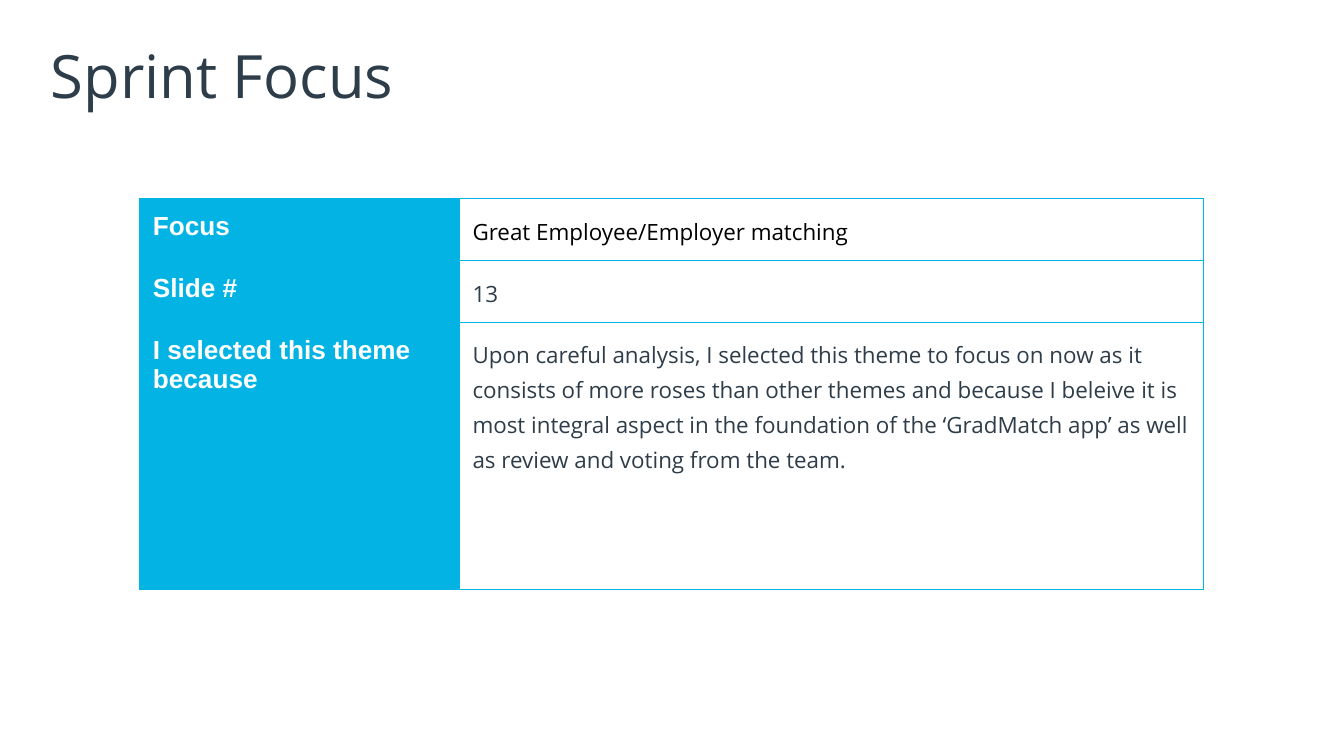
import dataclasses

import pptx
import pptx.dml.color
import pptx.enum.text
import pptx.oxml
import pptx.oxml.ns
import pptx.util

Cm = pptx.util.Cm
Pt = pptx.util.Pt

BLUE = "02B3E4"
WHITE = "FFFFFF"
SLATE = "2E3D49"


@dataclasses.dataclass
class Style:
    font: str
    size: float
    bold: bool = False


@dataclasses.dataclass
class Row:
    label: str
    text: str
    height: float
    color: str = SLATE


HEAD = Style("Open Sans", 32)
LABEL = Style("Arial", 14, True)
BODY = Style("Open Sans", 12)

ROWS = [
    Row("Focus", "Great Employee/Employer matching", 1.17, "000000"),
    Row("Slide #", "13", 1.17),
    Row(
        "I selected this theme because",
        "Upon careful analysis, I selected this theme to focus on now as it "
        "consists of more roses than other themes and because I beleive it is "
        "most integral aspect in the foundation of the ‘GradMatch app’ as well "
        "as review and voting from the team.",
        5.05,
    ),
]


def paint(color: str) -> pptx.dml.color.RGBColor:
    return pptx.dml.color.RGBColor.from_string(color)


def write(frame, text: str, style: Style, color: str, spacing: float = 1.0) -> None:
    line = frame.paragraphs[0]
    line.alignment = pptx.enum.text.PP_ALIGN.LEFT
    line.line_spacing = spacing
    run = line.add_run()
    run.text = text
    run.font.name = style.font
    run.font.size = Pt(style.size)
    run.font.bold = style.bold
    run.font.color.rgb = paint(color)


def pad(box, size: float) -> None:
    box.margin_left = box.margin_right = Cm(size)
    box.margin_top = box.margin_bottom = Cm(size)


def edge(cell, color: str, width: float) -> None:
    # Borders come before the fill in the cell properties
    props = cell._tc.get_or_add_tcPr()
    for spot, side in enumerate(("lnL", "lnR", "lnT", "lnB")):
        line = pptx.oxml.parse_xml(
            f'<a:{side} {pptx.oxml.ns.nsdecls("a")} w="{Pt(width)}">'
            f'<a:solidFill><a:srgbClr val="{color}"/></a:solidFill></a:{side}>'
        )
        props.insert(spot, line)


def fill_row(table, index: int, row: Row) -> None:
    table.rows[index].height = Cm(row.height)
    label, body = table.cell(index, 0), table.cell(index, 1)
    write(label.text_frame, row.label, LABEL, WHITE)
    write(body.text_frame, row.text, BODY, row.color, 1.15)
    label.fill.solid()
    label.fill.fore_color.rgb = paint(BLUE)
    body.fill.background()
    for cell in (label, body):
        pad(cell, 0.25)
        edge(cell, BLUE, 0.75)


def main() -> None:
    deck = pptx.Presentation()
    deck.slide_width, deck.slide_height = Cm(25.4), Cm(14.29)
    slide = deck.slides.add_slide(deck.slide_layouts[5])

    # Title
    title = slide.shapes.title
    title.left, title.top = Cm(0.86), Cm(0.61)
    title.width, title.height = Cm(23.67), Cm(1.6)
    frame = title.text_frame
    frame.auto_size = pptx.enum.text.MSO_AUTO_SIZE.NONE
    frame.vertical_anchor = pptx.enum.text.MSO_ANCHOR.MIDDLE
    pad(frame, 0.1)
    write(frame, "Sprint Focus", HEAD, "2D3D4A")

    # Focus table
    widths = (6.04, 14.07)
    high = sum(row.height for row in ROWS)
    table = slide.shapes.add_table(
        len(ROWS), len(widths), Cm(2.64), Cm(3.75), Cm(sum(widths)), Cm(high)
    ).table
    table.first_row = table.horz_banding = False
    for column, width in zip(table.columns, widths):
        column.width = Cm(width)
    for index, row in enumerate(ROWS):
        fill_row(table, index, row)

    deck.save("out.pptx")


if __name__ == "__main__":
    main()
